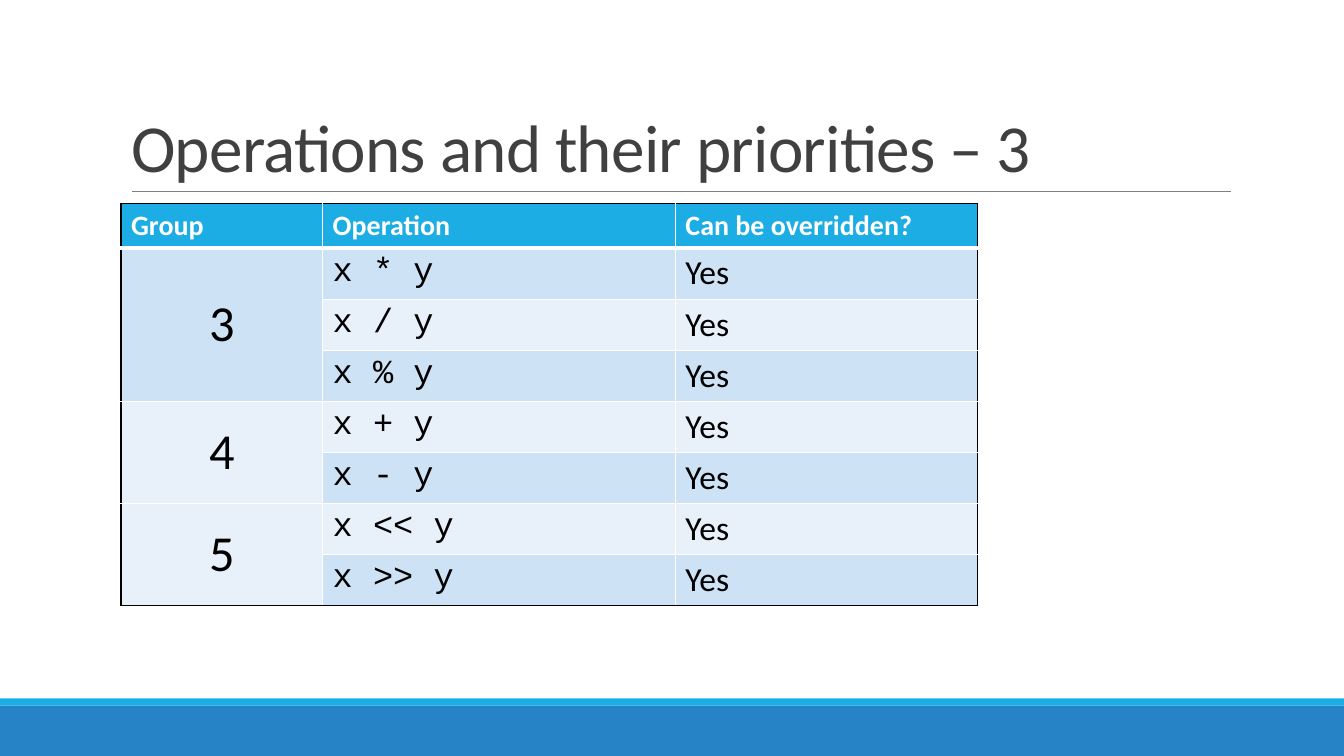
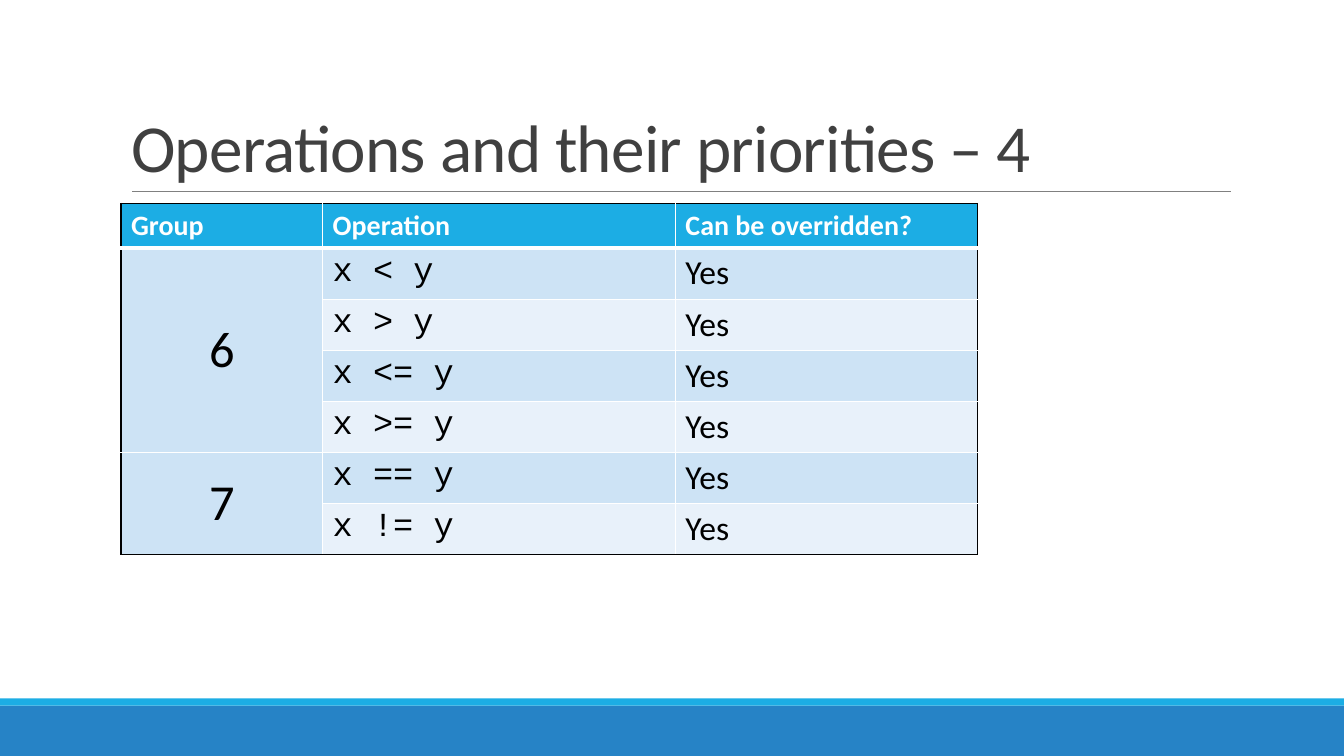
import pptx
import pptx.dml.color
import pptx.enum.shapes
import pptx.enum.text
import pptx.oxml
import pptx.oxml.ns
import pptx.util

Cm = pptx.util.Cm
Pt = pptx.util.Pt

COLORS = {
    "blue": "2683C6",
    "cyan": "1CADE4",
    "rule": "808080",
    "title": "404040",
    "white": "FFFFFF",
    "black": "000000",
    "dark band": "CDE3F5",
    "light band": "E8F1FA",
}
PAGE_WIDTH, PAGE_HEIGHT = Cm(33.87), Cm(19.05)
TITLE_FRAME = {"left": Cm(3.05), "top": Cm(0.79), "width": Cm(27.94), "height": Cm(4.04)}
COLUMN_WIDTHS = [Cm(5.08), Cm(8.89), Cm(7.62)]
HEADER_HEIGHT, ROW_HEIGHT = Cm(1.1), Cm(1.28)

HEADINGS = ["Group", "Operation", "Can be overridden?"]
HEADING_FONT = {"name": "Calibri", "size": Pt(20), "bold": True}
COLUMN_FONTS = [
    {"name": "Calibri", "size": Pt(36), "bold": False},
    {"name": "Courier New", "size": Pt(24), "bold": False},
    {"name": "Calibri", "size": Pt(24), "bold": False},
]
PAGES = {
    "Operations and their priorities – 3": {
        "3": ["x * y", "x / y", "x % y"],
        "4": ["x + y", "x - y"],
        "5": ["x << y", "x >> y"],
    },
    "Operations and their priorities – 4": {
        "6": ["x < y", "x > y", "x <= y", "x >= y"],
        "7": ["x == y", "x != y"],
    },
}


def rgb(name):
    return pptx.dml.color.RGBColor.from_string(COLORS[name])


def set_attributes(target, values):
    for name, value in values.items():
        setattr(target, name, value)


def style_title(layout):
    """Give the layout's title the style that every page inherits."""
    for placeholder in list(layout.placeholders):
        if placeholder.placeholder_format.type != pptx.enum.shapes.PP_PLACEHOLDER.TITLE:
            placeholder.element.getparent().remove(placeholder.element)
            continue
        set_attributes(placeholder, TITLE_FRAME)
        set_attributes(placeholder.text_frame, {
            "vertical_anchor": pptx.enum.text.MSO_ANCHOR.BOTTOM,
            "word_wrap": True,
            "auto_size": pptx.enum.text.MSO_AUTO_SIZE.NONE,
        })
        list_style = placeholder.element.txBody.find(pptx.oxml.ns.qn("a:lstStyle"))
        for old_level in list(list_style):
            list_style.remove(old_level)
        list_style.append(pptx.oxml.parse_xml(
            f'<a:lvl1pPr {pptx.oxml.ns.nsdecls("a")} algn="l">'
            '<a:lnSpc><a:spcPct val="85000"/></a:lnSpc>'
            '<a:defRPr sz="4800" spc="-50">'
            f'<a:solidFill><a:srgbClr val="{COLORS["title"]}"/></a:solidFill>'
            '<a:latin typeface="Calibri"/></a:defRPr></a:lvl1pPr>'))


def add_band(page, top, height, color):
    band = page.shapes.add_shape(
        pptx.enum.shapes.MSO_SHAPE.RECTANGLE, 0, top, PAGE_WIDTH, height)
    band.shadow.inherit = False
    band.fill.solid()
    band.fill.fore_color.rgb = rgb(color)
    band.line.fill.background()
    return band


def add_rule(page, left, right, y):
    rule = page.shapes.add_connector(
        pptx.enum.shapes.MSO_CONNECTOR.STRAIGHT, left, y, right, y)
    rule.line.color.rgb = rgb("rule")
    rule.line.width = Pt(0.5)
    rule.element.spPr.append(
        pptx.oxml.parse_xml(f'<a:effectLst {pptx.oxml.ns.nsdecls("a")}/>'))
    return rule


def add_layout_decoration(page):
    """Draw the bands and the rule, then move them behind the layout's title."""
    decoration = [
        add_band(page, Cm(17.78), Cm(1.27), "blue"),
        add_band(page, Cm(17.6), Cm(0.18), "cyan"),
        add_rule(page, Cm(3.33), Cm(31.01), Cm(4.83)),
    ]
    layout_tree = page.slide_layout.shapes.element
    for position, shape in enumerate(decoration, start=2):
        layout_tree.insert(position, shape.element)


def set_borders(cell, borders):
    properties = cell._tc.get_or_add_tcPr()
    for side, (color, points) in borders.items():
        properties.append(pptx.oxml.parse_xml(
            f'<a:ln{side} {pptx.oxml.ns.nsdecls("a")} w="{Pt(points)}">'
            f'<a:solidFill><a:srgbClr val="{COLORS[color]}"/></a:solidFill></a:ln{side}>'))


def cell_borders(row, column, last_row):
    """Black around the table, white inside, thicker under the headings."""
    def edge(is_outer, points=1):
        return ("black" if is_outer else "white", points)

    return {
        "L": edge(column == 0),
        "R": edge(column == len(HEADINGS) - 1),
        "T": edge(row == 0, 3 if row == 1 else 1),
        "B": edge(last_row, 3 if row == 0 else 1),
    }


def fill_cell(cell, color):
    cell.fill.solid()
    cell.fill.fore_color.rgb = rgb(color)


def write_cell(cell, text, font, color):
    para = cell.text_frame.paragraphs[0]
    span = para.add_run()
    span.text = text
    set_attributes(span.font, font)
    span.font.color.rgb = rgb(color)
    return para


def add_operations_table(page, groups):
    row_count = 1 + sum(len(operations) for operations in groups.values())
    height = HEADER_HEIGHT + (row_count - 1) * ROW_HEIGHT
    table = page.shapes.add_table(
        row_count, len(HEADINGS), Cm(3.05), Cm(5.13), sum(COLUMN_WIDTHS), height).table
    table.horz_banding = False
    for column, width in zip(table.columns, COLUMN_WIDTHS):
        column.width = width
    for index, row in enumerate(table.rows):
        row.height = ROW_HEIGHT if index else HEADER_HEIGHT

    ends = {}
    first = 1
    for group, operations in groups.items():
        last = first + len(operations) - 1
        ends[first] = last
        group_cell = table.cell(first, 0)
        group_cell.merge(table.cell(last, 0))
        group_cell.vertical_anchor = pptx.enum.text.MSO_ANCHOR.MIDDLE
        para = write_cell(group_cell, group, COLUMN_FONTS[0], "black")
        para.alignment = pptx.enum.text.PP_ALIGN.CENTER
        for row, operation in enumerate(operations, start=first):
            for column, text in enumerate([operation, "Yes"], start=1):
                write_cell(table.cell(row, column), text, COLUMN_FONTS[column], "black")
        first = last + 1

    for column, heading in enumerate(HEADINGS):
        write_cell(table.cell(0, column), heading, HEADING_FONT, "white")
        for row in range(row_count):
            cell = table.cell(row, column)
            end = ends.get(row, row) if column == 0 else row
            set_borders(cell, cell_borders(row, column, end == row_count - 1))
            band = "dark band" if row % 2 else "light band"
            fill_cell(cell, band if row else "cyan")


def main():
    deck = pptx.Presentation()
    set_attributes(deck, {"slide_width": PAGE_WIDTH, "slide_height": PAGE_HEIGHT})
    layout = deck.slide_layouts.get_by_name("Title Only")
    style_title(layout)
    for title, groups in PAGES.items():
        page = deck.slides.add_slide(layout)
        page.shapes.title.text = title
        if len(deck.slides) == 1:
            add_layout_decoration(page)
        add_operations_table(page, groups)
    deck.save("out.pptx")


if __name__ == "__main__":
    main()
